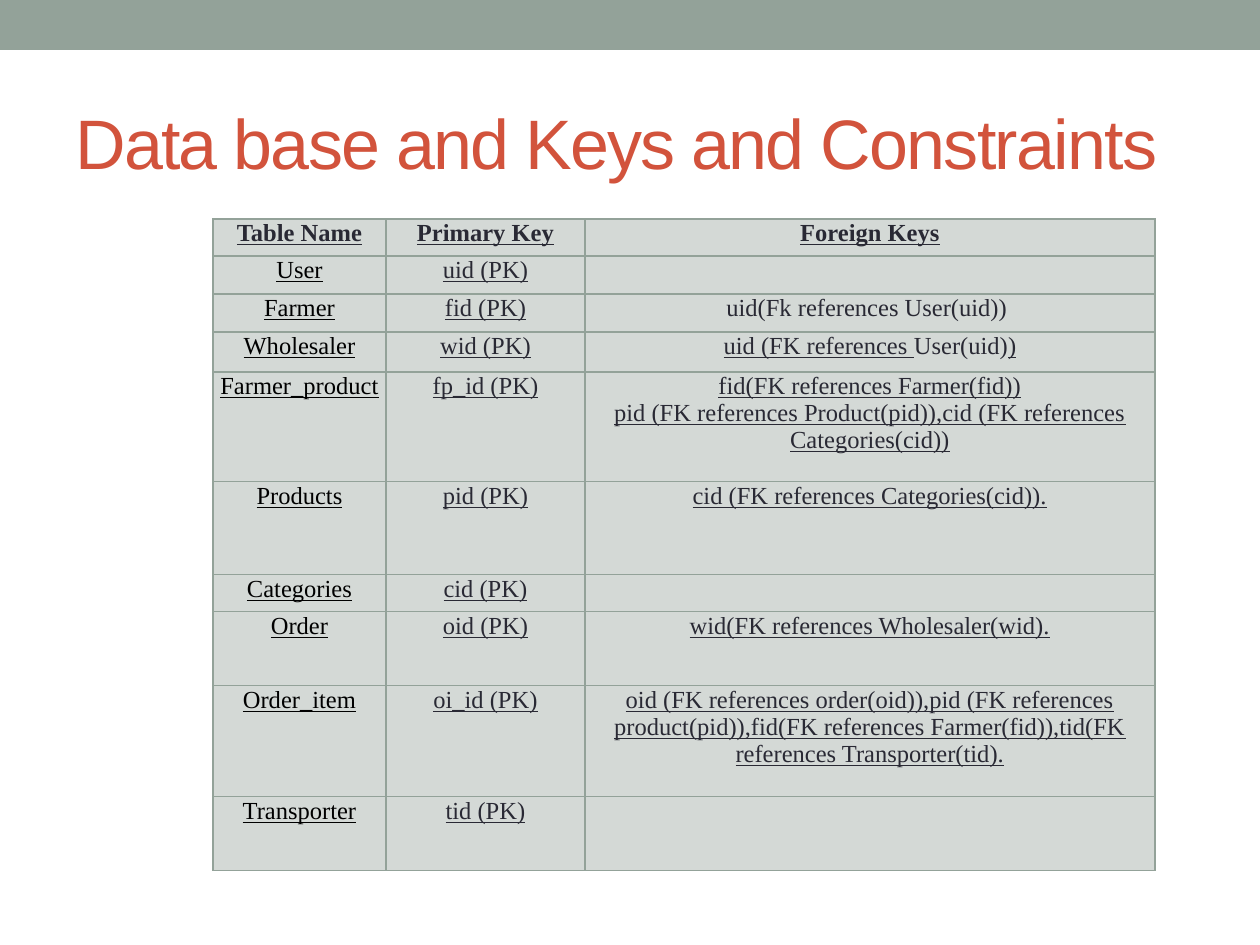
from lxml import etree
from pptx import Presentation
from pptx import util as u
from pptx.dml.color import RGBColor
from pptx.enum import shapes, text
from pptx.oxml.ns import qn

PX = u.Inches(1) // 126
SAGE = RGBColor(0x93, 0xA2, 0x99)
PALE = RGBColor(0xD4, 0xD9, 0xD6)
RED = RGBColor(0xD2, 0x53, 0x3C)
INK = RGBColor(0x29, 0x29, 0x34)
BLACK = RGBColor(0, 0, 0)

CELL_FONT = {"name": "Times New Roman", "size": u.Pt(14), "bold": False, "underline": True}
MARGINS = {"margin_left": PX, "margin_right": PX, "margin_top": PX, "margin_bottom": 0}

HEADERS = ["Table Name", "Primary Key", "Foreign Keys"]
COLUMN_WIDTHS = [173, 199, 570]
HEADER_HEIGHT = 37
ROWS = [
    (38, "User", "uid", []),
    (38, "Farmer", "fid", [[("uid(Fk references User(uid)) ", False)]]),
    (40, "Wholesaler", "wid",
     [[("uid (FK references ", True), ("User(uid)", False), (")", True)]]),
    (110, "Farmer_product", "fp_id",
     [[("fid(FK references Farmer(fid))", True)],
      [("pid (FK references Product(pid)),cid (FK references Categories(cid))", True)]]),
    (93, "Products", "pid", [[("cid (FK references Categories(cid)).", True)]]),
    (37, "Categories", "cid", []),
    (74, "Order", "oid", [[("wid(FK references Wholesaler(wid).", True)]]),
    (111, "Order_item", "oi_id",
     [[("oid (FK references order(oid)),pid (FK references product(pid)),"
        "fid(FK references Farmer(fid)),tid(FK references Transporter(tid).", True)]]),
    (74, "Transporter", "tid", []),
]


def px(*lengths):
    return [n * PX for n in lengths]


def apply(target, values):
    for name, value in values.items():
        setattr(target, name, value)


def add_run(p, content, color, **values):
    r = p.add_run()
    r.text = content
    apply(r.font, values)
    r.font.color.rgb = color
    return r


def add_band(s):
    sp = s.shapes.add_shape(shapes.MSO_SHAPE.RECTANGLE, *px(0, 0, 1260, 50))
    sp.shadow.inherit = False
    sp.fill.solid()
    sp.fill.fore_color.rgb = SAGE
    sp.line.fill.background()


def add_title(s, content):
    tf = s.shapes.add_textbox(*px(63, 73, 1134, 136)).text_frame
    apply(tf, {"word_wrap": True, "vertical_anchor": text.MSO_ANCHOR.MIDDLE})
    r = add_run(tf.paragraphs[0], content, RED, name="Arial", size=u.Pt(40))
    r.font._element.set("spc", "-100")


def set_borders(cell):
    tc_pr = cell._tc.get_or_add_tcPr()
    for i, side in enumerate(("lnL", "lnR", "lnT", "lnB")):
        ln = etree.Element(qn(f"a:{side}"), w=str(u.Pt(0.75)))
        fill = etree.SubElement(ln, qn("a:solidFill"))
        etree.SubElement(fill, qn("a:srgbClr"), val=str(SAGE))
        tc_pr.insert(i, ln)


def fill_cell(cell, paragraphs, color, bold=False):
    apply(cell, MARGINS)
    cell.fill.solid()
    cell.fill.fore_color.rgb = PALE
    set_borders(cell)
    tf = cell.text_frame
    for i, runs in enumerate(paragraphs or [[]]):
        p = tf.add_paragraph() if i else tf.paragraphs[0]
        p.alignment = text.PP_ALIGN.CENTER
        for content, underline in runs:
            add_run(p, content, color, **{**CELL_FONT, "bold": bold, "underline": underline})
        if not runs:
            etree.SubElement(p._p, qn("a:endParaRPr"), sz="1400")


def add_key_table(s):
    heights = [HEADER_HEIGHT] + [row[0] for row in ROWS]
    frame = s.shapes.add_table(len(heights), len(COLUMN_WIDTHS),
                               *px(213, 219, sum(COLUMN_WIDTHS), sum(heights)))
    table = frame.table
    apply(table, {"first_row": False, "horz_banding": False})
    for column, width in zip(table.columns, COLUMN_WIDTHS):
        column.width = width * PX
    for row, height in zip(table.rows, heights):
        row.height = height * PX
    for i, header in enumerate(HEADERS):
        fill_cell(table.cell(0, i), [[(header, True)]], INK, bold=True)
    for i, (_, name, key, foreign_keys) in enumerate(ROWS, 1):
        fill_cell(table.cell(i, 0), [[(name, True)]], BLACK)
        fill_cell(table.cell(i, 1), [[(f"{key} (PK)", True)]], INK)
        fill_cell(table.cell(i, 2), foreign_keys, INK)


def main():
    prs = Presentation()
    prs.slide_width, prs.slide_height = px(1260, 945)
    s = prs.slides.add_slide(prs.slide_layouts[6])
    add_band(s)
    add_title(s, "Data base and Keys and Constraints")
    add_key_table(s)
    prs.save("out.pptx")


if __name__ == "__main__":
    main()
